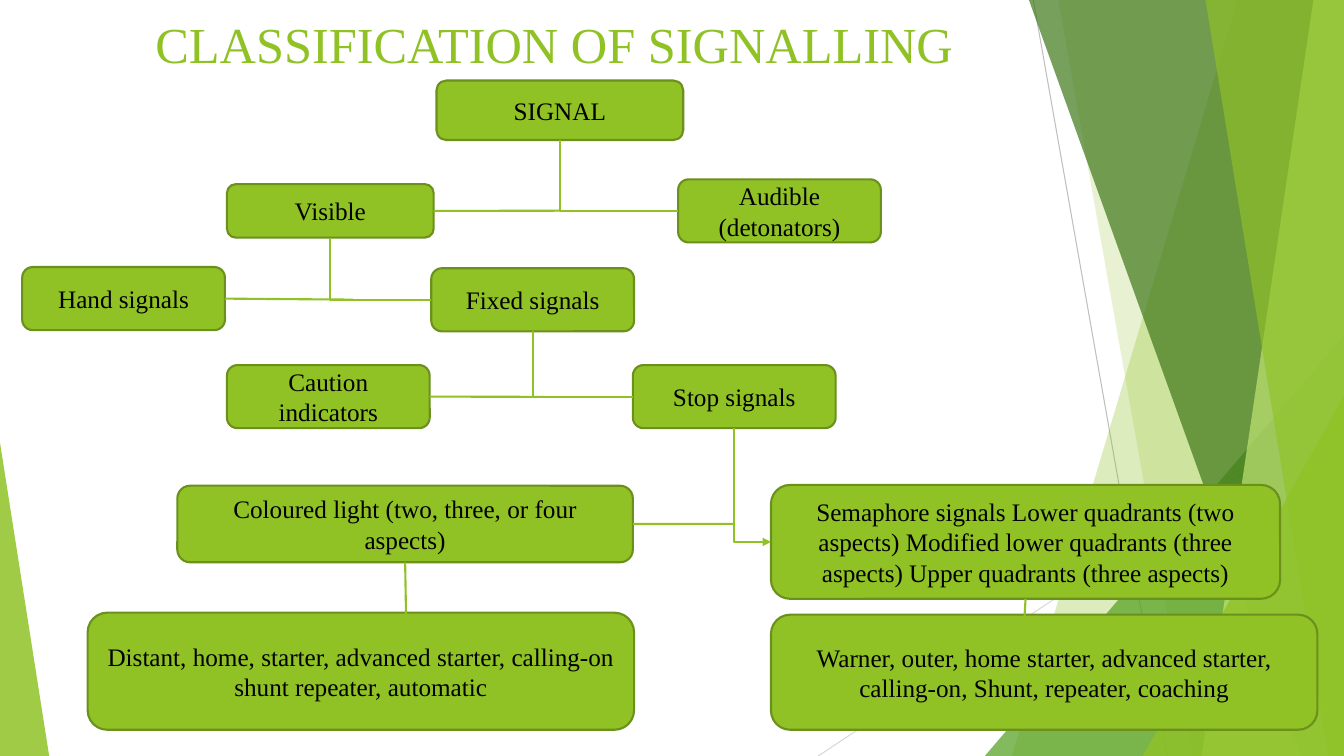
"""Build the slide that shows how railway signals are classified as a tree of boxes."""
from dataclasses import dataclass

from lxml.etree import SubElement
from pptx import Presentation
from pptx.dml.color import RGBColor
from pptx.enum.shapes import MSO_CONNECTOR, MSO_SHAPE
from pptx.enum.text import MSO_ANCHOR, MSO_AUTO_SIZE, PP_ALIGN
from pptx.oxml.ns import qn
from pptx.util import Cm, Pt


@dataclass(frozen=True)
class Theme:
    font: str = "Times New Roman"
    title_size: int = 36
    box_size: int = 18
    hairline: float = 0.75
    outline: float = 1.5
    green: str = "90C226"
    border: str = "6B901C"
    leaf: str = "54A021"
    forest: str = "3F7819"
    lime: str = "C0E474"
    grey: str = "BFBFBF"
    pale_grey: str = "D9D9D9"
    ink: str = "000000"


theme = Theme()
deck = Presentation()
deck.slide_width, deck.slide_height = Cm(33.87), Cm(19.05)
layout = deck.slide_layouts[5]
page = deck.slides.add_slide(layout)


def draw_line(kind, ends, colour, width):
    """Add a connector without shadow between two points."""
    connector = page.shapes.add_connector(kind, *(int(length) for length in ends))
    connector.line.color.rgb = RGBColor.from_string(colour)
    connector.line.width = Pt(width)
    SubElement(connector.element.spPr, qn("a:effectLst"))
    return connector


def write_text(shape, text, size, colour):
    """Centre one paragraph in a shape and format it."""
    frame = shape.text_frame
    frame.text = text
    frame_format = {"word_wrap": True, "auto_size": MSO_AUTO_SIZE.NONE, "vertical_anchor": MSO_ANCHOR.MIDDLE}
    for name, value in frame_format.items():
        setattr(frame, name, value)
    para = frame.paragraphs[0]
    para.alignment = PP_ALIGN.CENTER
    span = para.runs[0]
    for name, value in {"name": theme.font, "size": Pt(size)}.items():
        setattr(span.font, name, value)
    span.font.color.rgb = RGBColor.from_string(colour)


background_lines = [
    ((26.04, 0, 29.41, 19.05), theme.grey),
    ((33.87, 10.24, 20.62, 19.05), theme.pale_grey),
]
for ends, colour in background_lines:
    line = draw_line(MSO_CONNECTOR.STRAIGHT, [Cm(value) for value in ends], colour, theme.hairline)
    layout.shapes.element.append(line.element)

facets = [
    ("band", (31.19, 25.5), theme.green, 30),
    ("band", (26.67, 30.05), theme.green, 20),
    ("corner", (24.82, 8.46, 9.05, 1), theme.leaf, 72),
    ("band", (25.93, 32.79), theme.forest, 70),
    ("band", (33.1, 30.28), theme.lime, 70),
    ("band", (30.38, 33.48), theme.green, 65),
    ("corner", (28.8, 9.98, 5.07, 1), theme.green, 80),
    ("corner", (0, 11.15, 1.24, 0), theme.green, 85),
]
for kind, place, colour, opacity in facets:
    if kind == "band":
        top_x, bottom_x = (Cm(value) for value in place)
        builder = page.shapes.build_freeform(top_x, 0)
        builder.add_line_segments([
            (deck.slide_width, 0),
            (deck.slide_width, deck.slide_height),
            (bottom_x, deck.slide_height),
        ], close=True)
        facet = builder.convert_to_shape()
    else:
        left, top, width, apex = place
        facet = page.shapes.add_shape(
            MSO_SHAPE.ISOSCELES_TRIANGLE, Cm(left), Cm(top), Cm(width), deck.slide_height - Cm(top))
        facet.adjustments[0] = apex
    facet.shadow.inherit = False
    facet.fill.solid()
    facet.fill.fore_color.rgb = RGBColor.from_string(colour)
    facet.line.fill.background()
    fill_colour = facet.element.spPr.find(".//" + qn("a:srgbClr"))
    SubElement(fill_colour, qn("a:alpha")).set("val", str(opacity * 1000))
    layout.shapes.element.append(facet.element)

title = page.shapes.title
title_place = {"left": Cm(2.03), "top": Cm(-0.08), "width": Cm(23.88), "height": Cm(2.36)}
for name, value in title_place.items():
    setattr(title, name, value)
write_text(title, "CLASSIFICATION OF SIGNALLING", theme.title_size, theme.green)

small = (5.11, 1.59)
box_data = {
    "signal": ("SIGNAL", 11, 2.03, 6.22, 1.5),
    "visible": ("Visible", 5.72, 4.64, 5.21, 1.35),
    "audible": ("Audible (detonators)", 17.09, 4.52, *small),
    "hand": ("Hand signals", 0.56, 6.73, *small),
    "fixed": ("Fixed signals", 10.87, 6.76, *small),
    "stop": ("Stop signals", 15.95, 9.2, *small),
    "caution": ("Caution indicators", 5.72, 9.2, *small),
    "semaphore": (
        "Semaphore signals Lower quadrants (two aspects) Modified lower quadrants "
        "(three aspects) Upper quadrants (three aspects)", 19.43, 12.22, 12.83, 2.87),
    "coloured": ("Coloured light (two, three, or four aspects)", 4.47, 12.24, 11.48, 1.93),
    "distant": (
        "Distant, home, starter, advanced starter, calling-on shunt repeater, automatic",
        2.21, 15.44, 13.77, 2.95),
    "warner": (
        "Warner, outer, home starter, advanced starter, calling-on, Shunt, repeater, coaching",
        19.43, 15.49, 13.77, 2.9),
}
boxes = {}
for key, (text, *place) in box_data.items():
    box = page.shapes.add_shape(MSO_SHAPE.ROUNDED_RECTANGLE, *(Cm(value) for value in place))
    box.shadow.inherit = False
    box.fill.solid()
    box.fill.fore_color.rgb = RGBColor.from_string(theme.green)
    box.line.color.rgb = RGBColor.from_string(theme.border)
    box.line.width = Pt(theme.outline)
    write_text(box, text, theme.box_size, theme.ink)
    boxes[key] = box

elbows = [
    ("signal", "audible", False),
    ("visible", "fixed", False),
    ("fixed", "stop", False),
    ("stop", "semaphore", True),
]
for parent_key, child_key, has_arrow in elbows:
    parent, child = boxes[parent_key], boxes[child_key]
    start_x, start_y = parent.left + parent.width / 2, parent.top + parent.height
    end_x, end_y = child.left, child.top + child.height / 2
    middle_x, middle_y = (start_x + end_x) / 2, (start_y + end_y) / 2
    half_run, half_drop = (end_x - start_x) / 2, (end_y - start_y) / 2
    turned_ends = (middle_x + half_drop, middle_y - half_run, middle_x - half_drop, middle_y + half_run)
    elbow = draw_line(MSO_CONNECTOR.ELBOW, turned_ends, theme.green, theme.outline)
    properties = elbow.element.spPr
    properties.find(qn("a:xfrm")).set("rot", str(270 * 60000))
    properties.find(qn("a:prstGeom")).set("prst", "bentConnector2")
    if has_arrow:
        SubElement(properties.find(qn("a:ln")), qn("a:tailEnd")).set("type", "triangle")

bottom, right = 2, 3
branches = [
    ("visible", right, 14.11, 5.31),
    ("hand", right, 8.89, 7.55),
    ("caution", right, 13.69, 10),
    ("coloured", right, 18.51, 13.2),
    ("coloured", bottom, 10.24, 15.95),
    ("semaphore", bottom, 25.76, 16.54),
]
for key, side, end_x, end_y in branches:
    box = boxes[key]
    ends = (box.left, box.top, Cm(end_x), Cm(end_y))
    branch = draw_line(MSO_CONNECTOR.STRAIGHT, ends, theme.green, theme.outline)
    branch.begin_connect(box, side)

deck.save("out.pptx")
